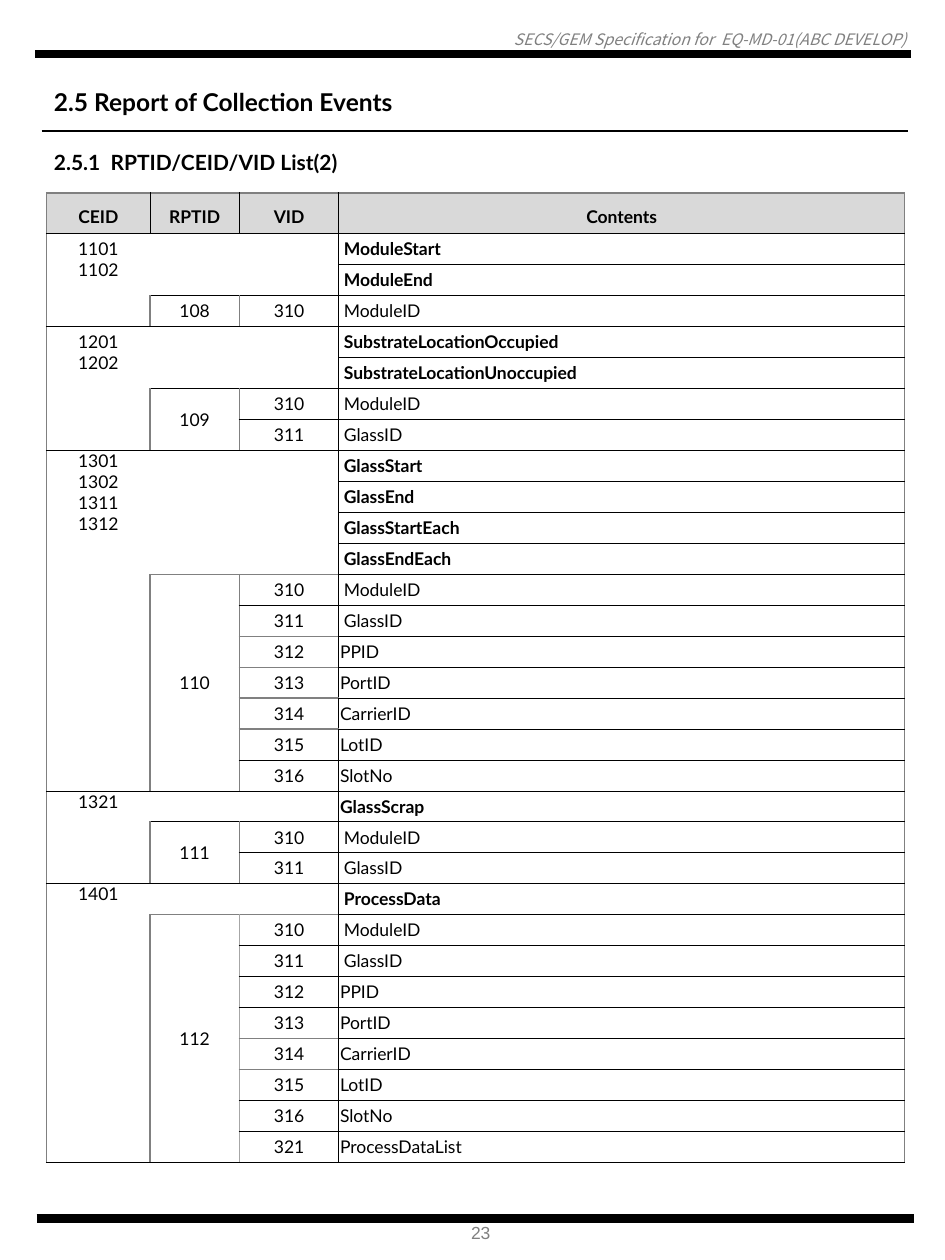
"""Build the page that lists report, event and variable IDs."""
from lxml import etree
from pptx import Presentation, util as u
from pptx.dml.color import RGBColor
from pptx.enum import shapes, text
from pptx.oxml.ns import qn

WIDTH, HEIGHT = 7.5, 10
BLACK, GRAY, LIGHT, HEAD_FILL = "000000", "808080", "A6A6A6", "D9D9D9"
LEFT, CENTER, RIGHT = text.PP_ALIGN.LEFT, text.PP_ALIGN.CENTER, text.PP_ALIGN.RIGHT
TOP, MIDDLE = text.MSO_ANCHOR.TOP, text.MSO_ANCHOR.MIDDLE
NO_GRID = "{2D5ABB26-0587-4C30-8999-92F81FD0307C}"

LABELS = [
    ("SECS/GEM Specification for  EQ-MD-01(ABC DEVELOP)", (0.05, 0.24, 7.14, 0.15),
     dict(size=9, name="Noto Sans CJK KR", color=GRAY, italic=True), RIGHT, 0),
    ("23", (3.64, 9.65, 0.37, 0.27), dict(size=10, name="Arial", color=GRAY), LEFT, 0.1),
    ("2.5 Report of Collection Events", (0.33, 0.64, 3.26, 0.34),
     dict(size=14, bold=True), LEFT, 0.1),
    ("2.5.1  RPTID/CEID/VID List(2)", (0.33, 1.14, 2.87, 0.3),
     dict(size=12, bold=True), LEFT, 0.1),
]
RULES = [(0.28, 7.23, 0.43, 4.75), (0.29, 7.25, 9.67, 4.75), (0.33, 7.21, 1.04, 0.75)]

TABLE_LEFT, TABLE_TOP, TABLE_HEIGHT, HEAD_HEIGHT = 0.37, 1.53, 7.68, 0.32
COLUMNS = [("CEID", 0.82), ("RPTID", 0.71), ("VID", 0.79), ("Contents", 4.49)]
VARIABLES = {
    "310": "ModuleID", "311": "GlassID", "312": "PPID", "313": "PortID",
    "314": "CarrierID", "315": "LotID", "316": "SlotNo", "321": "ProcessDataList",
}
WIDE_INSET = ("310", "311")
VIDS = list(VARIABLES)
GROUPS = [
    dict(ceids=["1101", "1102"], events=["ModuleStart", "ModuleEnd"],
         rptid="108", vids=VIDS[:1], top=0.04),
    dict(ceids=["1201", "1202"],
         events=["SubstrateLocationOccupied", "SubstrateLocationUnoccupied"],
         rptid="109", vids=VIDS[:2], top=0.04),
    dict(ceids=["1301", "1302", "1311", "1312"],
         events=["GlassStart", "GlassEnd", "GlassStartEach", "GlassEndEach"],
         rptid="110", vids=VIDS[:7], soft=VIDS[1:5]),
    dict(ceids=["1321"], events=["GlassScrap"], rptid="111", vids=VIDS[:2], tight=True),
    dict(ceids=["1401"], events=["ProcessData"], rptid="112", vids=VIDS,
         soft=VIDS[3:5], side=LIGHT),
]


def rgb(value):
    return RGBColor.from_string(value)


def write(para, words, size=10, name="Lato", color=BLACK, align=LEFT, **style):
    para.alignment = align
    span = para.add_run()
    span.text = words
    for key, value in dict(size=u.Pt(size), name=name, **style).items():
        setattr(span.font, key, value)
    span.font.color.rgb = rgb(color)


def add_label(page, words, place, style, align, inset):
    box = page.shapes.add_textbox(*map(u.Inches, place))
    frame = box.text_frame
    wrap = align == RIGHT
    options = dict(word_wrap=wrap, auto_size=text.MSO_AUTO_SIZE.SHAPE_TO_FIT_TEXT,
                   margin_left=u.Inches(inset), margin_right=u.Inches(inset),
                   margin_top=u.Inches(inset / 2), margin_bottom=u.Inches(inset / 2))
    for key, value in options.items():
        setattr(frame, key, value)
    write(frame.paragraphs[0], words, align=align, **style)


def add_rule(page, start, end, y, weight):
    rule = page.shapes.add_connector(
        shapes.MSO_CONNECTOR.STRAIGHT, *map(u.Inches, (start, y, end, y)))
    rule.line.color.rgb = rgb(BLACK)
    rule.line.width = u.Pt(weight)
    etree.SubElement(rule._element.spPr, qn("a:effectLst"))


def set_borders(cell, edges):
    props = cell._tc.get_or_add_tcPr()
    drawn = [side for side in "LRTB" if side in edges]
    for position, side in enumerate(drawn):
        color = edges[side]
        weight = u.Pt(0.5 if color == BLACK else 1)
        line = etree.Element(qn("a:ln" + side), w=str(int(weight)))
        fill = etree.SubElement(line, qn("a:solidFill"))
        etree.SubElement(fill, qn("a:srgbClr"), val=color)
        props.insert(position, line)


def fill_block(grid, row, column, lines, edges, rows=1, columns=1, inset=(0.04, 0),
               anchor=MIDDLE, align=CENTER, fill=None, spacing=None, bold=False):
    bottom, right = row + rows - 1, column + columns - 1
    for r in range(row, bottom + 1):
        for c in range(column, right + 1):
            cell = grid.cell(r, c)
            origin = (r, c) == (row, column)
            outer = dict(L=c == column, R=c == right, T=r == row, B=r == bottom)
            if fill:
                cell.fill.solid()
                cell.fill.fore_color.rgb = rgb(fill)
            else:
                cell.fill.background()
            set_borders(cell, {s: v for s, v in edges.items() if origin or outer[s]})
            side, end = map(u.Inches, inset)
            options = dict(margin_left=side, margin_right=side, margin_top=end,
                           margin_bottom=end, vertical_anchor=anchor)
            for key, value in options.items():
                setattr(cell, key, value)
            if not origin or not lines:
                etree.SubElement(cell.text_frame.paragraphs[0]._p,
                                 qn("a:endParaRPr"), sz="1000")
    first = grid.cell(row, column)
    if rows * columns > 1:
        first.merge(grid.cell(bottom, right))
    for index, words in enumerate(lines):
        frame = first.text_frame
        para = frame.add_paragraph() if index else frame.paragraphs[0]
        para.line_spacing = spacing
        write(para, words, align=align, bold=bold)


def add_group(grid, row, ceids, events, rptid, vids, top=0, soft=(), side=GRAY, tight=False):
    middle = row + len(events)
    seam = GRAY if soft else BLACK
    content_edges = dict(L=BLACK, R=GRAY, T=BLACK, B=BLACK)
    fill_block(grid, row, 0, ceids, dict(L=GRAY, T=BLACK, B=BLACK),
               rows=len(events) + len(vids), inset=(0.04, top), anchor=TOP)
    fill_block(grid, row, 1, [], dict(T=BLACK, R=BLACK, B=seam),
               rows=len(events), columns=2)
    fill_block(grid, middle, 1, [rptid], dict(L=GRAY, T=seam, R=side, B=BLACK),
               rows=len(vids))
    for r, event in enumerate(events, row):
        fill_block(grid, r, 3, [event], content_edges, align=LEFT, bold=True,
                   inset=(0.01, 0) if tight else (0.04, 0.04),
                   anchor=MIDDLE if tight else TOP)
    above = seam
    for r, vid in enumerate(vids, middle):
        below = GRAY if vid in soft else BLACK
        inset = (0.04 if vid in WIDE_INSET else 0.01, 0)
        fill_block(grid, r, 2, [vid], dict(L=side, T=above, R=BLACK, B=below), inset=inset)
        fill_block(grid, r, 3, [VARIABLES[vid]], content_edges, inset=inset, align=LEFT)
        above = below
    return middle + len(vids)


def add_id_table(page):
    body = sum(len(group["events"]) + len(group["vids"]) for group in GROUPS)
    width = sum(size for _, size in COLUMNS)
    frame = page.shapes.add_table(body + 1, len(COLUMNS), *map(
        u.Inches, (TABLE_LEFT, TABLE_TOP, width, TABLE_HEIGHT)))
    grid = frame.table
    grid.first_row = grid.horz_banding = False
    grid._tbl.tblPr.find(qn("a:tableStyleId")).text = NO_GRID
    for line in grid.rows:
        line.height = u.Inches((TABLE_HEIGHT - HEAD_HEIGHT) / body)
    grid.rows[0].height = u.Inches(HEAD_HEIGHT)
    last = len(COLUMNS) - 1
    for c, (title, size) in enumerate(COLUMNS):
        grid.columns[c].width = u.Inches(size)
        edges = dict(L=BLACK if c else GRAY, R=GRAY if c == last else BLACK, T=GRAY, B=BLACK)
        fill_block(grid, 0, c, [title], edges, inset=(0, 0.04), fill=HEAD_FILL,
                   spacing=u.Pt(16), bold=True)
    row = 1
    for group in GROUPS:
        row = add_group(grid, row, **group)


deck = Presentation()
deck.slide_width, deck.slide_height = u.Inches(WIDTH), u.Inches(HEIGHT)
page = deck.slides.add_slide(deck.slide_layouts[6])
for rule in RULES:
    add_rule(page, *rule)
for label in LABELS:
    add_label(page, *label)
add_id_table(page)
deck.save("out.pptx")
